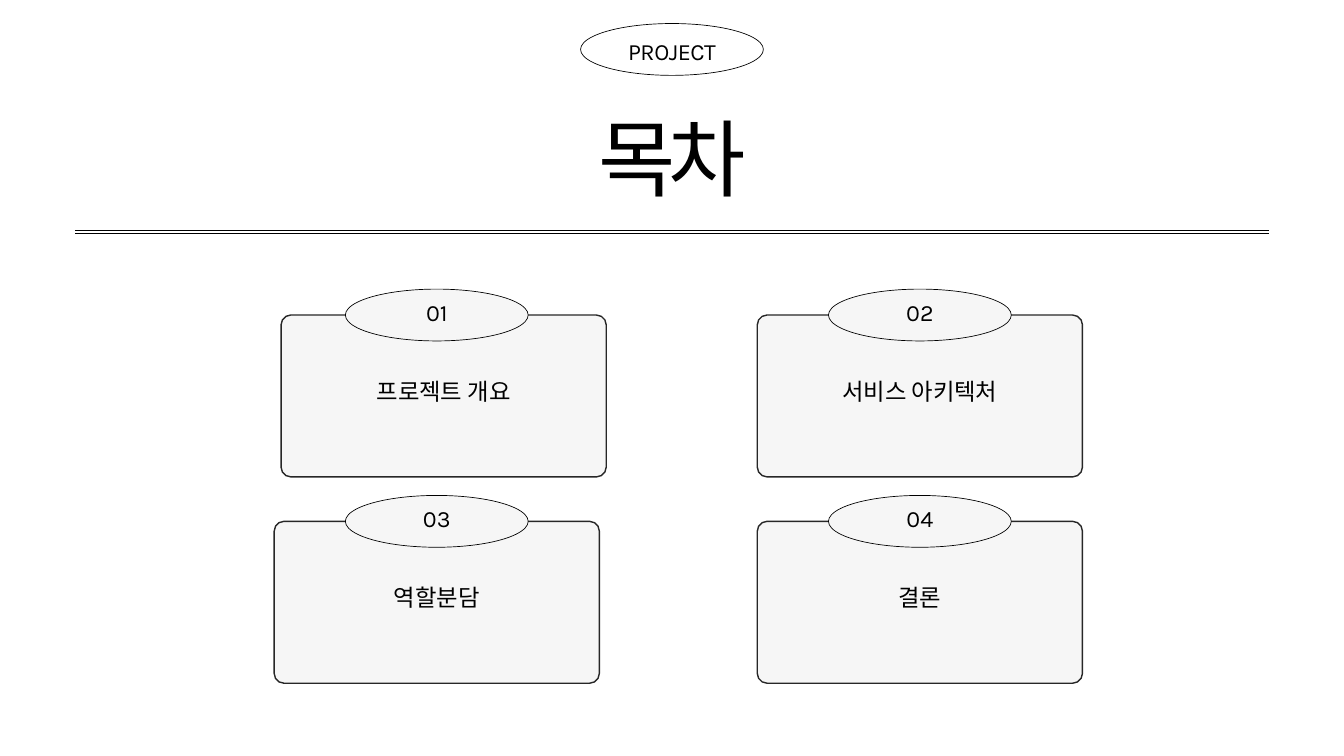
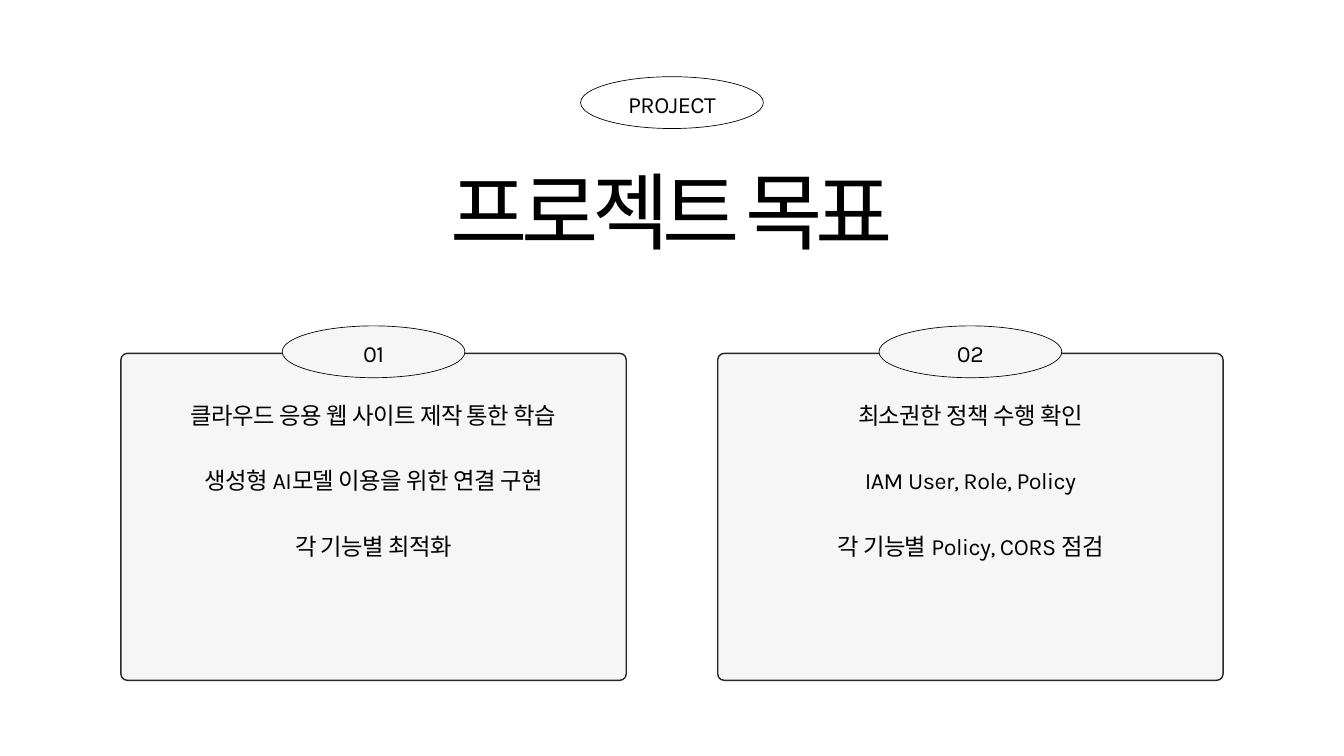
from lxml import etree
from pptx import Presentation
from pptx import util as u
from pptx.dml.color import RGBColor
from pptx.enum import shapes, text
from pptx.oxml.ns import qn

BLACK = RGBColor(0x00, 0x00, 0x00)
EDGE = RGBColor(0x27, 0x27, 0x27)
PALE = RGBColor(0xF6, 0xF6, 0xF6)

MID = 25.4
OVAL_W, OVAL_H = 6.91, 1.96

TAG = dict(font="Karla", size=25, lead=35, track=-50, pad=0, anchor="TOP")
TITLE = dict(TAG, font="Noto Sans CJK KR", size=90, lead=126, track=-720)
BODY = dict(TAG, gap=35)
ITEM = dict(font="Calibri", size=25, lead=35, pad=0.15, anchor="MIDDLE")
NUM = dict(ITEM, font="Karla", pad=0.05)


class Deck:
    """Holds the presentation, the current slide and the shared look."""

    def __init__(self):
        self.prs = Presentation()
        self.prs.slide_width = u.Cm(50.8)
        self.prs.slide_height = u.Cm(28.58)
        self.slide = None

    def page(self):
        self.slide = self.prs.slides.add_slide(self.prs.slide_layouts[6])

    def label(self, x, y, w, h, lines, look):
        """Add a centred text box; each line is one paragraph."""
        box = self.slide.shapes.add_textbox(*map(u.Cm, (x, y, w, h)))
        pad = u.Cm(look["pad"])
        frame = box.text_frame
        form = dict(word_wrap=True, margin_left=pad, margin_right=pad,
                    margin_top=pad, margin_bottom=pad,
                    vertical_anchor=text.MSO_ANCHOR[look["anchor"]])
        for key, val in form.items():
            setattr(frame, key, val)
        for i, line in enumerate(lines):
            para = frame.paragraphs[0] if i == 0 else frame.add_paragraph()
            para.alignment = text.PP_ALIGN.CENTER
            para.line_spacing = u.Pt(look["lead"])
            para.space_before = u.Pt(look.get("gap", 0) if i else 0)
            run = para.add_run()
            run.text = line
            for key, val in dict(name=look["font"], size=u.Pt(look["size"])).items():
                setattr(run.font, key, val)
            run.font.color.rgb = BLACK
            props = run._r.get_or_add_rPr()
            etree.SubElement(props, qn("a:ea"), typeface=look["font"])
            if "track" in look:
                props.set("spc", str(look["track"]))

    def shape(self, kind, x, y, w, h, fill, line, width):
        item = self.slide.shapes.add_shape(kind, *map(u.Cm, (x, y, w, h)))
        item.shadow.inherit = False
        if fill is None:
            item.fill.background()
        else:
            item.fill.solid()
            item.fill.fore_color.rgb = fill
        item.line.color.rgb = line
        item.line.width = u.Pt(width)
        return item

    def card(self, x, y, w, h, curve):
        item = self.shape(shapes.MSO_SHAPE.ROUNDED_RECTANGLE, x, y, w, h, PALE, EDGE, 1.5)
        item.adjustments[0] = curve / h

    def oval(self, mid, y, fill=None):
        self.shape(shapes.MSO_SHAPE.OVAL, mid - OVAL_W / 2, y, OVAL_W, OVAL_H,
                   fill, BLACK, 0.75)

    def tag(self, mid, y, name, fill=None):
        self.oval(mid, y, fill)
        self.label(mid - 2.5, y + 0.33, 5, 1.17, [name], TAG)

    def head(self, y, title):
        self.tag(MID, y, "PROJECT")
        self.label(MID - 16.22, y + 2.51, 32.44, 4.32, [title], TITLE)

    def rule(self, y):
        line = self.slide.shapes.add_connector(
            shapes.MSO_CONNECTOR.STRAIGHT, *map(u.Cm, (2.84, y, 47.96, y)))
        line.line.color.rgb = BLACK
        line.line.width = u.Pt(0.75)
        etree.SubElement(line._element.spPr, qn("a:effectLst"))


def agenda(deck):
    deck.page()
    for y in (8.69, 8.84):
        deck.rule(y)
    deck.head(0.89, "목차")
    w, h = 12.29, 6.12
    names = ["프로젝트 개요", "서비스 아키텍처", "역할분담", "결론"]
    for i, name in enumerate(names):
        row, col = divmod(i, 2)
        mid = 16.51 + 18.26 * col
        top = 11.91 + 7.8 * row
        left = mid - w / 2 + (0.26 if i == 0 else 0)
        deck.card(left, top, w, h, 0.37)
        deck.label(left, top - 0.53, w, h + 0.53, [name], ITEM)
        deck.oval(mid, top - OVAL_H / 2, PALE)
        deck.label(mid - 2.8, top - 1.19, 5.6, 1.98, [f"{i + 1:02}"], NUM)


def goals(deck):
    deck.page()
    deck.head(2.9, "프로젝트 목표")
    w, h, top = 19.1, 12.36, 13.36
    notes = [
        ["클라우드 응용 웹 사이트 제작 통한 학습",
         "생성형 AI모델 이용을 위한 연결 구현",
         "각 기능별 최적화"],
        ["최소권한 정책 수행 확인",
         "IAM User, Role, Policy",
         "각 기능별 Policy, CORS 점검"],
    ]
    for i, lines in enumerate(notes):
        left = 4.57 + 22.56 * i
        deck.card(left, top, w, h, 0.24)
        deck.tag(left + w / 2, top - 1.04, f"{i + 1:02}", PALE)
        deck.label(left + 1.2, top + 1.63, w - 2.4, 6.05, lines, BODY)


def main():
    deck = Deck()
    agenda(deck)
    goals(deck)
    deck.prs.save("out.pptx")


if __name__ == "__main__":
    main()
